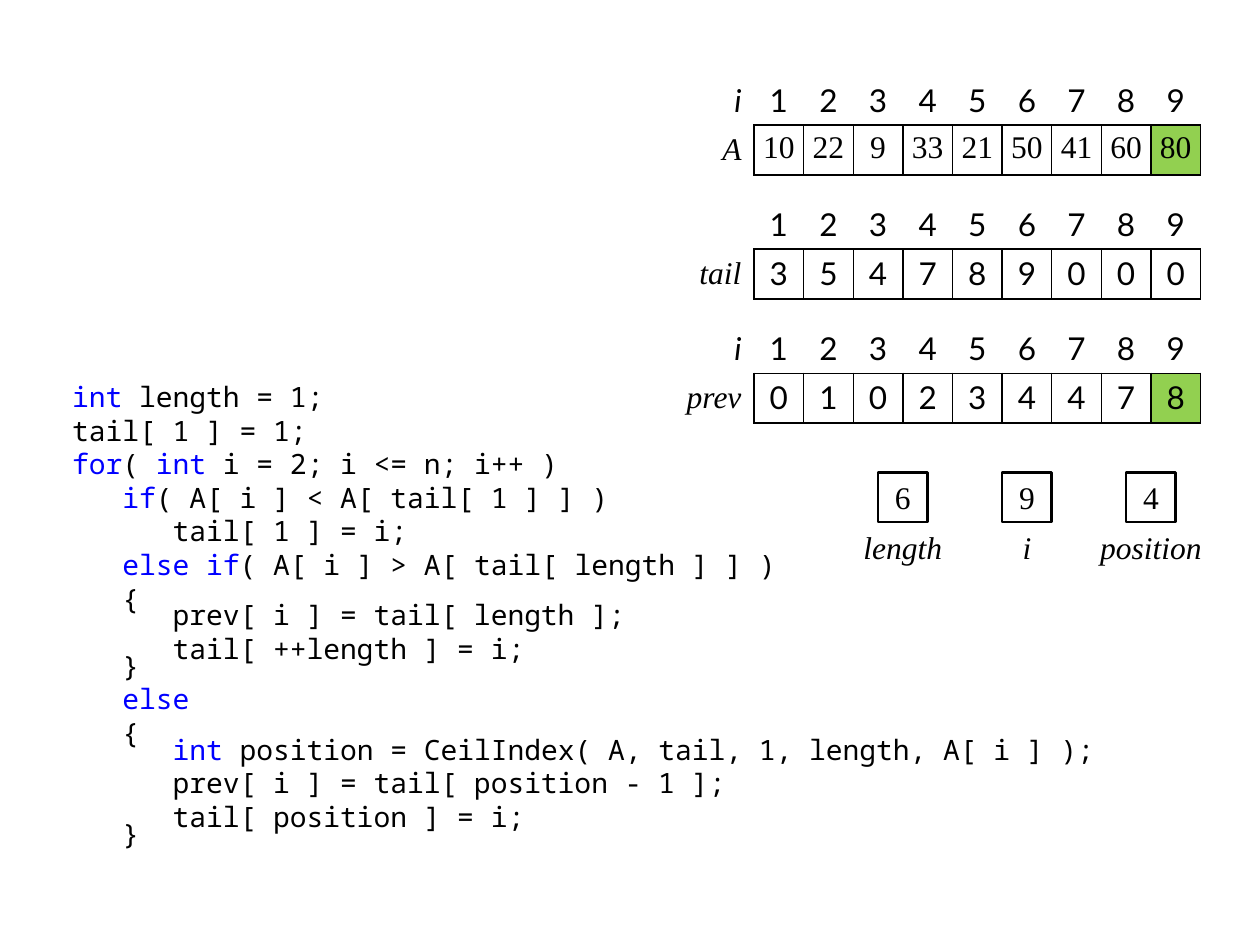
from pptx import Presentation
from pptx.dml.color import RGBColor
from pptx.enum.shapes import MSO_SHAPE
from pptx.enum.text import MSO_ANCHOR, MSO_AUTO_SIZE, PP_ALIGN
from pptx.oxml import parse_xml
from pptx.oxml.ns import nsdecls
from pptx.util import Pt

SERIF, SANS, MONO = "Times New Roman", "Lato", "Noto Sans Mono"
BLACK, WHITE, BLUE, GREEN = "000000", "FFFFFF", "0000FF", "92D050"

# Keywords stand between bars
CODE = """\
|int| length = 1;
tail[ 1 ] = 1;
|for|( |int| i = 2; i <= n; i++ )
   |if|( A[ i ] < A[ tail[ 1 ] ] )
      tail[ 1 ] = i;
   |else if|( A[ i ] > A[ tail[ length ] ] )
   {
      prev[ i ] = tail[ length ];
      tail[ ++length ] = i;
   }
   |else|
   {
      |int |position = CeilIndex( A, tail, 1, length, A[ i ] );
      prev[ i ] = tail[ position - 1 ];
      tail[ position ] = i;
   }""".split("\n")

# index label, name, values, value font, label width in cells, last cell fill
ARRAYS = [
    ("i", "A", [10, 22, 9, 33, 21, 50, 41, 60, 80], SERIF, 1, GREEN),
    ("", "tail", [3, 5, 4, 7, 8, 9, 0, 0, 0], SANS, 1.5, None),
    ("i", "prev", [0, 1, 0, 2, 3, 4, 4, 7, 8], SANS, 2, GREEN),
]
# name, value, name width in cells
VARIABLES = [("length", 6, 2), ("i", 9, 1), ("position", 4, 3)]

CELL = 28.35
GRID_LEFT, GRID_TOP = 430.9, 43.2
CODE_SIZE, CODE_PITCH = 16, 19.2


def rgb(value):
    return RGBColor.from_string(value)


def style(run, font, size=18, color=BLACK, italic=False):
    run.font.name, run.font.size = font, Pt(size)
    run.font.color.rgb = rgb(color)
    run.font.italic = italic


def add_code(slide):
    sp = slide.placeholders[1]
    sp.left, sp.top, sp.width, sp.height = Pt(34), Pt(213.3), Pt(610), Pt(283.7)
    tf = sp.text_frame
    tf.auto_size = MSO_AUTO_SIZE.NONE
    previous = ""
    for n, line in enumerate(CODE):
        p = tf.paragraphs[0] if n == 0 else tf.add_paragraph()
        pPr = p._p.get_or_add_pPr()
        pPr.set("marL", "0")
        pPr.set("indent", "0")
        pPr.append(parse_xml(f"<a:buNone {nsdecls('a')}/>"))
        p.space_before = Pt(0)
        tight = line.strip() == "}" or previous.strip() == "{"
        p.line_spacing = Pt(CODE_PITCH / 2 if tight else CODE_PITCH)
        for k, part in enumerate(line.split("|")):
            if part:
                r = p.add_run()
                r.text = part
                style(r, MONO, CODE_SIZE, BLUE if k % 2 else BLACK)
        previous = line


def set_borders(cell, sides):
    """Draw 1 pt black lines on the given sides (L, R, T, B), none elsewhere."""
    tcPr = cell._tc.get_or_add_tcPr()
    for n, side in enumerate("LRTB"):
        paint = (f'<a:solidFill><a:srgbClr val="{BLACK}"/></a:solidFill>'
                 if side in sides else "<a:noFill/>")
        tcPr.insert(n, parse_xml(
            f'<a:ln{side} {nsdecls("a")} w="12700">{paint}</a:ln{side}>'))


def fill_cell(cell, text, font, italic, align, anchor, side_margin, color, sides):
    cell.margin_left = cell.margin_right = Pt(side_margin)
    cell.margin_top = cell.margin_bottom = Pt(2.88)
    cell.vertical_anchor = anchor
    p = cell.text_frame.paragraphs[0]
    p.alignment = align
    r = p.add_run()
    r.text = str(text)
    style(r, font, italic=italic)
    if color:
        cell.fill.solid()
        cell.fill.fore_color.rgb = rgb(color)
    else:
        cell.fill.background()
    set_borders(cell, sides)


def add_array(slide, row, index, name, values, font, label_cells, last_fill):
    label_width, count = label_cells * CELL, len(values)
    table = slide.shapes.add_table(
        2, count + 1, Pt(GRID_LEFT - label_width), Pt(GRID_TOP + row * 2.5 * CELL),
        Pt(label_width + count * CELL), Pt(2 * CELL)).table
    table.first_row = table.horz_banding = False
    for r in table.rows:
        r.height = Pt(CELL)
    for n, column in enumerate(table.columns):
        column.width = Pt(CELL if n else label_width)

    middle, top = MSO_ANCHOR.MIDDLE, MSO_ANCHOR.TOP
    fill_cell(table.cell(0, 0), index, SANS, True, PP_ALIGN.RIGHT, middle, 7.2, None, "")
    fill_cell(table.cell(1, 0), name, SERIF, True, PP_ALIGN.RIGHT, middle, 7.2, None, "R")
    for n, value in enumerate(values, 1):
        color = last_fill if n == count else None
        fill_cell(table.cell(0, n), n, SANS, False, PP_ALIGN.CENTER, middle, 0, None, "B")
        fill_cell(table.cell(1, n), value, font, False, PP_ALIGN.CENTER, top, 0, color, "LRTB")


def center_text(sp, text, italic):
    tf = sp.text_frame
    tf.text = str(text)
    tf.word_wrap = False
    tf.auto_size = MSO_AUTO_SIZE.NONE
    tf.margin_left = tf.margin_right = tf.margin_top = tf.margin_bottom = 0
    tf.vertical_anchor = MSO_ANCHOR.MIDDLE
    p = tf.paragraphs[0]
    p.alignment = PP_ALIGN.CENTER
    style(p.runs[0], SERIF, italic=italic)


def add_variable(slide, n, name, value, name_cells):
    left, top = GRID_LEFT + (n + 1) * 2.5 * CELL, GRID_TOP + 8 * CELL
    label = slide.shapes.add_textbox(
        Pt(left - (name_cells - 1) * CELL / 2), Pt(top + CELL),
        Pt(name_cells * CELL), Pt(CELL))
    center_text(label, name, True)
    box = slide.shapes.add_shape(
        MSO_SHAPE.RECTANGLE, Pt(left), Pt(top), Pt(CELL), Pt(CELL))
    box.shadow.inherit = False
    box.fill.solid()
    box.fill.fore_color.rgb = rgb(WHITE)
    box.line.color.rgb = rgb(BLACK)
    box.line.width = Pt(1.5)
    center_text(box, value, False)


def main():
    prs = Presentation()
    prs.slide_width, prs.slide_height = Pt(720), Pt(540)
    s = prs.slides.add_slide(prs.slide_layouts[1])
    title = s.shapes.title._element
    title.getparent().remove(title)
    add_code(s)
    for row, array in enumerate(ARRAYS):
        add_array(s, row, *array)
    for n, variable in enumerate(VARIABLES):
        add_variable(s, n, *variable)
    prs.save("out.pptx")


if __name__ == "__main__":
    main()
